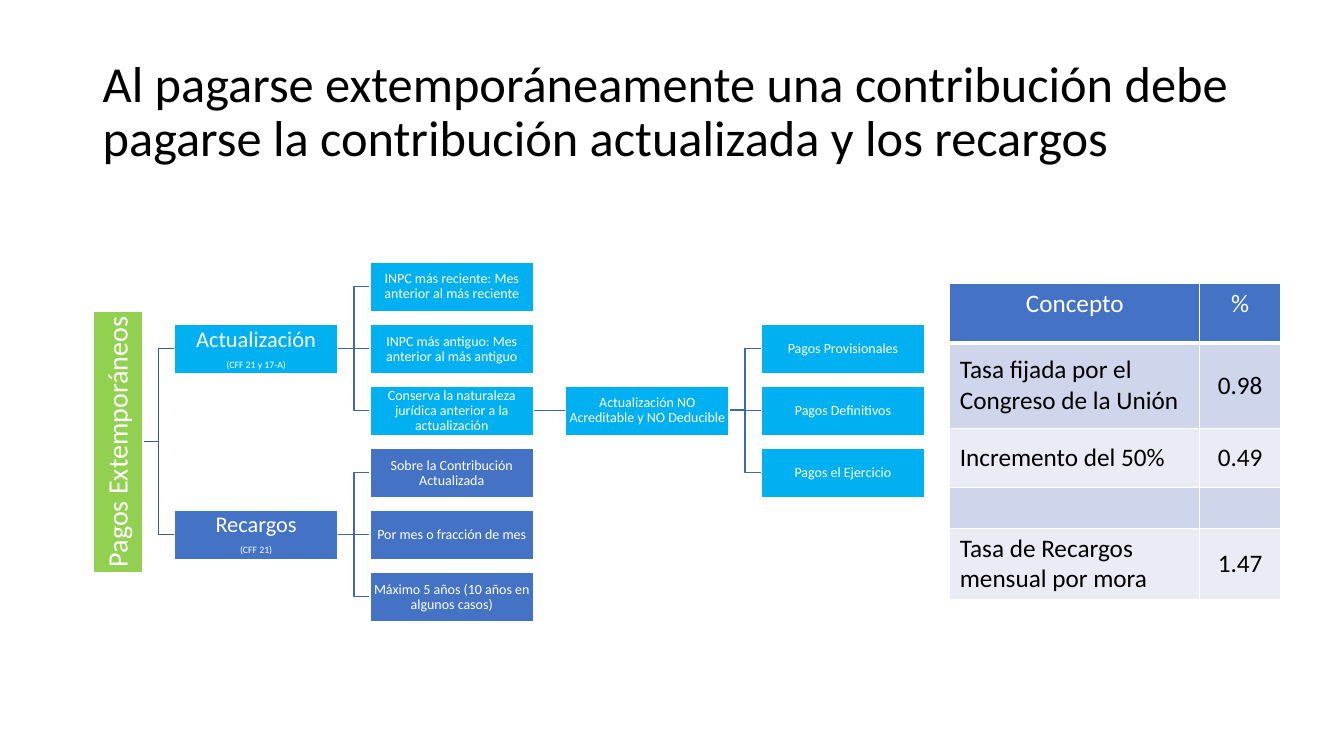
from pptx import Presentation
from pptx.dml.color import RGBColor
from pptx.enum.shapes import MSO_CONNECTOR as Link, MSO_SHAPE as Shape
from pptx.enum.text import MSO_ANCHOR as Anchor, PP_ALIGN as Align
from pptx.oxml import parse_xml
from pptx.oxml.ns import nsdecls
from pptx.util import Emu, Pt

FONT = "Calibri"
WHITE, BLACK = "FFFFFF", "000000"
GREEN, SKY, BLUE = "92D050", "00B0F0", "4472C4"
TRUNK, BRANCH = "365B9D", "3E67B2"
BANDS = ("CFD5EA", "E9EBF5")

BOX_W, BOX_H = 162, 49
FIRST_X, COLUMN_STEP = 173, 194
FIRST_MIDDLE, ROW_STEP = 284, 61.6
ROOT_X, ROOT_MIDDLE, ROOT_LENGTH = 93, 438, 259

NODES = {
    "update": (0, 1, SKY, [("Actualización", 16), ("(CFF 21 y 17-A)", 7)]),
    "surcharge": (0, 4, BLUE, [("Recargos", 16), ("(CFF 21)", 7)]),
    "recent": (1, 0, SKY, [("INPC más reciente: Mes anterior al más reciente", 10)]),
    "old": (1, 1, SKY, [("INPC más antiguo: Mes anterior al más antiguo", 10)]),
    "nature": (1, 2, SKY, [("Conserva la naturaleza jurídica anterior a la actualización", 10)]),
    "base": (1, 3, BLUE, [("Sobre la Contribución Actualizada", 10)]),
    "month": (1, 4, BLUE, [("Por mes o fracción de mes", 10)]),
    "limit": (1, 5, BLUE, [("Máximo 5 años (10 años en algunos casos)", 10)]),
    "excluded": (2, 2, SKY, [("Actualización NO Acreditable y NO Deducible", 10)]),
    "provisional": (3, 1, SKY, [("Pagos Provisionales", 10)]),
    "final": (3, 2, SKY, [("Pagos Definitivos", 10)]),
    "annual": (3, 3, SKY, [("Pagos el Ejercicio", 10)]),
}
CHILDREN = {
    "update": ("recent", "old", "nature"),
    "surcharge": ("base", "month", "limit"),
    "nature": ("excluded",),
    "excluded": ("provisional", "final", "annual"),
}
RATES = [
    ("Concepto", "%"),
    ("Tasa fijada por el Congreso de la Unión", "0.98"),
    ("Incremento del 50%", "0.49"),
    ("", ""),
    ("Tasa de Recargos mensual por mora", "1.47"),
]


def px(length):
    return Emu(length * 9144)


def color(value):
    return RGBColor.from_string(value)


def write(para, text, size=18, ink=BLACK, align=Align.LEFT, spacing=1.0, after=0):
    para.alignment = align
    para.line_spacing = spacing
    para.space_after = Pt(after)
    para.font.size = Pt(size)
    if text:
        span = para.add_run()
        span.text = text
        span.font.name = FONT
        span.font.size = Pt(size)
        span.font.bold = False
        span.font.color.rgb = color(ink)


def place(column, row):
    return FIRST_X + COLUMN_STEP * column, round(FIRST_MIDDLE + ROW_STEP * row)


class Painter:
    """Draws styled elements on one page."""

    def __init__(self, page):
        self.shapes = page.shapes

    def title(self, text, left, top, width, height):
        frame = self.shapes.add_textbox(px(left), px(top), px(width), px(height)).text_frame
        frame.word_wrap = True
        frame.vertical_anchor = Anchor.MIDDLE
        write(frame.paragraphs[0], text, size=36, spacing=0.9)

    def box(self, left, middle, fill, lines, width=BOX_W, rotation=0):
        top = middle - BOX_H // 2
        box = self.shapes.add_shape(Shape.RECTANGLE, px(left), px(top), px(width), px(BOX_H))
        box.shadow.inherit = False
        box.rotation = rotation
        box.fill.solid()
        box.fill.fore_color.rgb = color(fill)
        box.line.color.rgb = color(WHITE)
        box.line.width = Pt(1)
        frame = box.text_frame
        frame.word_wrap = True
        frame.vertical_anchor = Anchor.MIDDLE
        frame.margin_left = frame.margin_right = px(1)
        frame.margin_top = frame.margin_bottom = px(1)
        for index, (text, size) in enumerate(lines):
            para = frame.add_paragraph() if index else frame.paragraphs[0]
            after = 0.35 * size if index < len(lines) - 1 else 0
            write(para, text, size=size, ink=WHITE, align=Align.CENTER, spacing=0.9, after=after)

    def link(self, start, end, ink):
        kind = Link.STRAIGHT if start[1] == end[1] else Link.ELBOW
        link = self.shapes.add_connector(kind, *map(px, start + end))
        link.line.color.rgb = color(ink)
        link.line.width = Pt(1)
        link._element.spPr.append(parse_xml(f"<a:effectLst {nsdecls('a')}/>"))

    def cell(self, cell, text, fill, ink, align, anchor, bottom):
        properties = cell._tc.get_or_add_tcPr()
        for side, points in (("L", 1), ("R", 1), ("T", 1), ("B", bottom)):
            properties.append(parse_xml(
                f'<a:ln{side} {nsdecls("a")} w="{Pt(points)}"><a:solidFill>'
                f'<a:srgbClr val="{WHITE}"/></a:solidFill></a:ln{side}>'))
        cell.fill.solid()
        cell.fill.fore_color.rgb = color(fill)
        cell.vertical_anchor = anchor
        write(cell.text_frame.paragraphs[0], text, ink=ink, align=align)

    def table(self, rows, left, top, widths, heights):
        table = self.shapes.add_table(len(rows), len(widths), px(left), px(top),
                                      px(sum(widths)), px(sum(heights))).table
        table.first_row = table.horz_banding = False
        for column, width in zip(table.columns, widths):
            column.width = px(width)
        for r, (texts, height) in enumerate(zip(rows, heights)):
            table.rows[r].height = px(height)
            head = r == 0
            for c, text in enumerate(texts):
                self.cell(table.cell(r, c), text,
                          fill=BLUE if head else BANDS[(r - 1) % 2],
                          ink=WHITE if head else BLACK,
                          align=Align.CENTER if head or c else Align.LEFT,
                          anchor=Anchor.TOP if head else Anchor.MIDDLE,
                          bottom=3 if head else 1)


def main():
    deck = Presentation()
    deck.slide_width, deck.slide_height = px(1333), px(750)
    painter = Painter(deck.slides.add_slide(deck.slide_layouts[6]))
    painter.title("Al pagarse extemporáneamente una contribución debe pagarse "
                  "la contribución actualizada y los recargos", 92, 40, 1150, 145)
    for name in ("update", "surcharge"):
        painter.link((ROOT_X + BOX_H, ROOT_MIDDLE), place(*NODES[name][:2]), TRUNK)
    for parent, children in CHILDREN.items():
        left, middle = place(*NODES[parent][:2])
        for child in children:
            painter.link((left + BOX_W, middle), place(*NODES[child][:2]), BRANCH)
    painter.box(ROOT_X + (BOX_H - ROOT_LENGTH) // 2, ROOT_MIDDLE, GREEN,
                [("Pagos Extemporáneos", 20)], width=ROOT_LENGTH, rotation=270)
    for column, row, fill, lines in NODES.values():
        painter.box(*place(column, row), fill, lines)
    painter.table(RATES, 942, 281, (248, 80), (59, 85, 59, 40, 71))
    deck.save("out.pptx")


if __name__ == "__main__":
    main()
